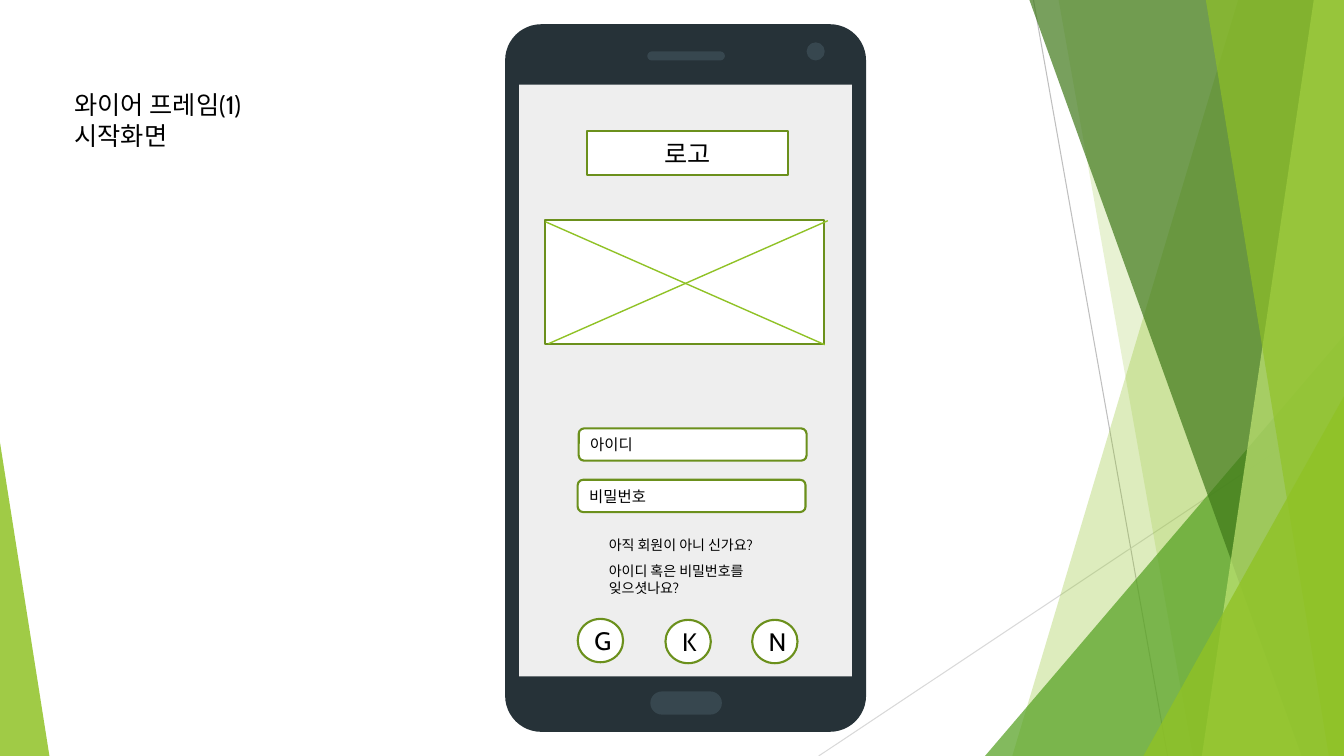
from lxml.etree import SubElement
from pptx import Presentation
from pptx.dml.color import RGBColor
from pptx.enum.shapes import MSO_CONNECTOR, MSO_SHAPE
from pptx.enum.text import MSO_ANCHOR, MSO_AUTO_SIZE, PP_ALIGN
from pptx.oxml.ns import qn
from pptx.util import Inches, Pt

WIDTH, HEIGHT = 13.33, 7.5
COLORS = {
    "lime": "90C226", "green": "54A021", "forest": "3F7819", "pale": "C0E474",
    "gray": "BFBFBF", "silver": "D9D9D9", "body": "263238", "detail": "37474F",
    "screen": "EEEEEE", "white": "FFFFFF", "outline": "6B901C", "black": "000000",
}
BACKDROP_LINES = [
    ((10.25, 0), (11.58, HEIGHT), "gray", 0.75),
    ((WIDTH, 4.03), (8.12, HEIGHT), "silver", 0.75),
]
# kind, geometry, color, opacity in percent
BACKDROP = [
    ("band", (12.28, 10.04), "lime", 30),
    ("band", (10.5, 11.83), "lime", 20),
    ("triangle", (9.77, 3.33, 3.56, 1), "green", 72),
    ("band", (10.21, 12.91), "forest", 70),
    ("band", (13.03, 11.92), "pale", 70),
    ("band", (11.96, 13.18), "lime", 65),
    ("triangle", (11.34, 3.93, 1.99, 1), "lime", 80),
    ("triangle", (0, 4.39, 0.49, 0), "lime", 85),
]
PHONE = [
    (MSO_SHAPE.ROUNDED_RECTANGLE, (5.01, 0.24, 3.58, 7.02), "body", 0.1),
    (MSO_SHAPE.ROUNDED_RECTANGLE, (6.45, 6.86, 0.71, 0.23), "detail", 0.5),
    (MSO_SHAPE.OVAL, (8, 0.42, 0.18, 0.18), "detail", None),
    (MSO_SHAPE.ROUNDED_RECTANGLE, (6.42, 0.51, 0.77, 0.09), "detail", 0.5),
    (MSO_SHAPE.RECTANGLE, (5.15, 0.84, 3.3, 5.87), "screen", None),
]
IMAGE_BOX = (5.41, 2.18, 2.76, 1.23)
IMAGE_CROSS = [
    ((5.41, 2.2), (8.18, 3.42), "lime", 1),
    ((5.44, 3.41), (8.21, 2.19), "lime", 1),
]
LOGO = ("로고", (5.82, 1.3, 2, 0.44))
FIELDS = [("아이디", (5.74, 4.25)), ("비밀번호", (5.73, 4.76))]
FIELD_SIZE = (2.26, 0.32)
LOGINS = [("G", (5.73, 6.14)), ("K", (6.6, 6.15)), ("N", (7.46, 6.15))]
LOGIN_SIZE = (0.45, 0.43)
LABELS = [
    (["아직 회원이 아니 신가요?"], (5.94, 5.27, 1.75, 0.27), 10),
    (["아이디 혹은 비밀번호를 잊으셧나요?"], (5.94, 5.53, 1.75, 0.44), 10),
    (["와이어 프레임(1)", "시작화면"], (0.64, 0.84, 3.58, 0.71), 18),
]


def color(name):
    return RGBColor.from_string(COLORS[name])


def apply(target, values):
    for name, value in values.items():
        setattr(target, name, value)


def paint(shape, fill, outline=None, opacity=100):
    shape.shadow.inherit = False
    shape.fill.solid()
    shape.fill.fore_color.rgb = color(fill)
    if opacity < 100:
        tint = next(shape.element.spPr.iter(qn("a:srgbClr")))
        SubElement(tint, qn("a:alpha"), val=str(opacity * 1000))
    if outline:
        shape.line.color.rgb = color(outline)
        shape.line.width = Pt(1.5)
    else:
        shape.line.fill.background()


def add_line(slide, start, end, name, width):
    line = slide.shapes.add_connector(
        MSO_CONNECTOR.STRAIGHT, *map(Inches, start), *map(Inches, end))
    line.line.color.rgb = color(name)
    line.line.width = Pt(width)
    SubElement(line.element.spPr, qn("a:effectLst"))


def add_shape(slide, kind, box, fill, outline=None, opacity=100, adjustment=None):
    shape = slide.shapes.add_shape(kind, *map(Inches, box))
    if adjustment is not None:
        shape.adjustments[0] = adjustment
    paint(shape, fill, outline, opacity)
    return shape


def add_band(slide, top_x, bottom_x, fill, opacity):
    builder = slide.shapes.build_freeform(Inches(top_x), 0)
    corners = [(WIDTH, 0), (WIDTH, HEIGHT), (bottom_x, HEIGHT)]
    builder.add_line_segments([(Inches(x), Inches(y)) for x, y in corners])
    paint(builder.convert_to_shape(), fill, opacity=opacity)


def write(shape, lines, size, alignment=PP_ALIGN.LEFT, **frame_values):
    frame = shape.text_frame
    frame.text = "\n".join(lines)
    apply(frame, {"word_wrap": True, **frame_values})
    for paragraph in frame.paragraphs:
        paragraph.alignment = alignment
        for run in paragraph.runs:
            apply(run.font, {"name": "Cabin", "size": Pt(size)})
            run.font.color.rgb = color("black")


def add_control(slide, kind, text, box, size, alignment):
    shape = add_shape(slide, kind, box, "white", "outline")
    write(shape, [text], size, alignment, vertical_anchor=MSO_ANCHOR.MIDDLE)


def main():
    """Build the start screen wireframe slide."""
    presentation = Presentation()
    apply(presentation, {"slide_width": Inches(WIDTH), "slide_height": Inches(HEIGHT)})
    slide = presentation.slides.add_slide(presentation.slide_layouts[6])

    for line in BACKDROP_LINES:
        add_line(slide, *line)
    for kind, geometry, fill, opacity in BACKDROP:
        if kind == "band":
            add_band(slide, *geometry, fill, opacity)
        else:
            left, top, width, apex = geometry
            add_shape(slide, MSO_SHAPE.ISOSCELES_TRIANGLE, (left, top, width, HEIGHT - top),
                      fill, opacity=opacity, adjustment=apex)

    for kind, box, fill, rounding in PHONE:
        add_shape(slide, kind, box, fill, adjustment=rounding)
    add_shape(slide, MSO_SHAPE.RECTANGLE, IMAGE_BOX, "white", "outline")
    for line in IMAGE_CROSS:
        add_line(slide, *line)

    add_control(slide, MSO_SHAPE.RECTANGLE, *LOGO, 18, PP_ALIGN.CENTER)
    for text, corner in FIELDS:
        add_control(slide, MSO_SHAPE.ROUNDED_RECTANGLE, text, corner + FIELD_SIZE,
                    11, PP_ALIGN.LEFT)
    for text, corner in LOGINS:
        add_control(slide, MSO_SHAPE.OVAL, text, corner + LOGIN_SIZE, 18, PP_ALIGN.CENTER)
    for lines, box, size in LABELS:
        label = slide.shapes.add_textbox(*map(Inches, box))
        write(label, lines, size, auto_size=MSO_AUTO_SIZE.SHAPE_TO_FIT_TEXT)

    presentation.save("out.pptx")


if __name__ == "__main__":
    main()
